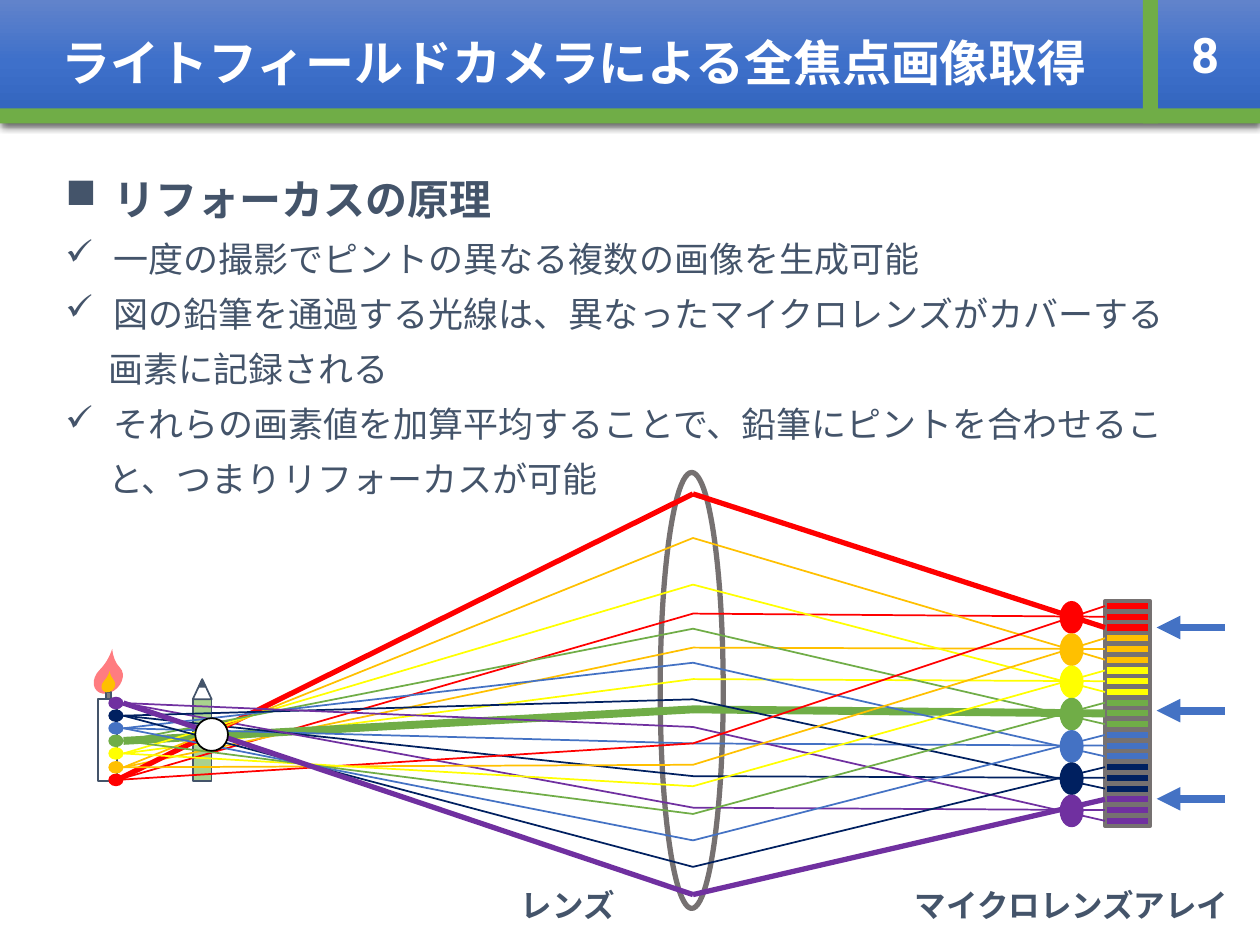
from lxml.etree import SubElement
from pptx import Presentation
from pptx.dml.color import RGBColor
from pptx.enum.shapes import MSO_CONNECTOR, MSO_SHAPE
from pptx.enum.text import MSO_ANCHOR, MSO_AUTO_SIZE, PP_ALIGN
from pptx.oxml import parse_xml
from pptx.oxml.ns import nsdecls, qn
from pptx.util import Inches, Pt

RED = RGBColor(0xFF, 0x00, 0x00)
GOLD = RGBColor(0xFF, 0xC0, 0x00)
YELLOW = RGBColor(0xFF, 0xFF, 0x00)
GREEN = RGBColor(0x70, 0xAD, 0x47)
BLUE = RGBColor(0x44, 0x72, 0xC4)
NAVY = RGBColor(0x00, 0x20, 0x60)
PURPLE = RGBColor(0x70, 0x30, 0xA0)
WHITE = RGBColor(0xFF, 0xFF, 0xFF)
BLACK = RGBColor(0x00, 0x00, 0x00)
SLATE = RGBColor(0x44, 0x54, 0x6A)
GREY = RGBColor(0x76, 0x71, 0x71)
WICK = RGBColor(0x80, 0x80, 0x80)
PINK = RGBColor(0xFF, 0x7C, 0x80)
LEAF = RGBColor(0xA9, 0xD1, 0x8E)

FONT = "Roboto"
RECT, OVAL = MSO_SHAPE.RECTANGLE, MSO_SHAPE.OVAL
CONE, DROP = MSO_SHAPE.ISOSCELES_TRIANGLE, MSO_SHAPE.TEAR

# Each fan of rays: colour, source x and y, heights at the lens, widths
FANS = [
    (RED, 0.93, 6.19, (3.92, 4.87, 5.9), (3, 1, 1)),
    (GOLD, 0.98, 6.09, (4.27, 5.14, 6.07), (1, 1, 1)),
    (YELLOW, 0.98, 5.98, (4.64, 5.39, 6.24), (1, 1, 1)),
    (GREEN, 0.98, 5.88, (4.99, 5.63, 6.46), (1, 4.5, 1)),
    (BLUE, 0.98, 5.78, (5.26, 5.9, 6.67), (1, 1, 1)),
    (NAVY, 0.98, 5.68, (5.55, 6.16, 6.88), (1, 1, 1)),
    (PURPLE, 0.98, 5.58, (5.77, 6.41, 7.1), (1, 1, 3)),
]
LENS_X, CHIP_X = 5.5, 8.77
CHIP_TOP, CHIP_STEP = 4.77, 1.79 / 21

# Body text: words, size, bold, bullet, left indent, line spacing
BODY = [
    ("リフォーカスの原理", 24, True, "■", 0.38, 0.9),
    ("一度の撮影でピントの異なる複数の画像を生成可能", 20, False, "✓", 0.38, 1.0),
    ("図の鉛筆を通過する光線は、異なったマイクロレンズがカバーする", 20, False, "✓", 0.38, 1.0),
    ("画素に記録される", 20, False, None, 0.34, 1.0),
    ("それらの画素値を加算平均することで、鉛筆にピントを合わせるこ", 20, False, "✓", 0.38, 1.0),
    ("と、つまりリフォーカスが可能", 20, False, None, 0.34, 1.0),
]


def style(item, form):
    for key, value in form.items():
        setattr(item, key, value)


def inch(box):
    return [Inches(value) for value in box]


def shape(shapes, kind, box, fill=None, line=None, width=1, turn=0):
    item = shapes.add_shape(kind, *inch(box))
    item.shadow.inherit = False
    item.rotation = turn
    if fill is None:
        item.fill.background()
    else:
        item.fill.solid()
        item.fill.fore_color.rgb = fill
    if line is None:
        item.line.fill.background()
    else:
        item.line.color.rgb = line
        item.line.width = Pt(width)
    return item


def ray(shapes, start, end, color, width, arrow=False):
    item = shapes.add_connector(MSO_CONNECTOR.STRAIGHT, *inch(start + end))
    item.line.color.rgb = color
    item.line.width = Pt(width)
    if arrow:
        SubElement(item.line._get_or_add_ln(), qn("a:tailEnd"), type="triangle")
    SubElement(item._element.spPr, qn("a:effectLst"))


def write(para, words, size, color, bold=True, **form):
    run = para.add_run()
    run.text = words
    style(run.font, {"name": FONT, "size": Pt(size), "bold": bold})
    run.font.color.rgb = color
    SubElement(run._r.get_or_add_rPr(), qn("a:ea"), typeface=FONT)
    style(para, form)


def frame(shapes, box, anchor=MSO_ANCHOR.TOP):
    text = shapes.add_textbox(*inch(box)).text_frame
    style(text, {"word_wrap": True, "vertical_anchor": anchor})
    return text


def bullet(para, mark, left):
    props = para._p.get_or_add_pPr()
    props.set("marL", str(Inches(left)))
    if mark:
        props.set("indent", str(-Inches(left)))
        SubElement(props, qn("a:buChar"), char=mark)


def header(slide):
    title = slide.shapes.title
    style(title, dict(zip(("left", "top", "width", "height"), inch((0, 0, 10, 0.98)))))
    stops = "".join(
        f'<a:gs pos="{spot}"><a:srgbClr val="{color}"/></a:gs>'
        for spot, color in ((0, "6183CB"), (50000, "3E70CA"), (100000, "3062BB")))
    props = title._element.spPr
    props.append(parse_xml(
        f'<a:gradFill {nsdecls("a")} rotWithShape="1"><a:gsLst>{stops}</a:gsLst>'
        '<a:lin ang="5400000" scaled="0"/></a:gradFill>'))
    props.append(parse_xml(
        f'<a:effectLst {nsdecls("a")}><a:outerShdw blurRad="{Pt(4.5)}" '
        f'dist="{Pt(1.5)}" dir="5400000" algn="ctr" rotWithShape="0">'
        '<a:srgbClr val="000000"><a:alpha val="63000"/></a:srgbClr>'
        '</a:outerShdw></a:effectLst>'))
    text = title.text_frame
    style(text, {"word_wrap": True, "auto_size": MSO_AUTO_SIZE.NONE,
                 "vertical_anchor": MSO_ANCHOR.MIDDLE, "margin_left": Inches(0.49)})
    write(text.paragraphs[0], "ライトフィールドカメラによる全焦点画像取得", 28, WHITE,
          alignment=PP_ALIGN.LEFT)
    for box in ((0, 0.86, 10, 0.12), (9.07, 0, 0.12, 0.98)):
        shape(slide.shapes, RECT, box, GREEN)
    page = frame(slide.shapes, (9.13, 0, 0.87, 0.86), MSO_ANCHOR.MIDDLE)
    write(page.paragraphs[0], "8", 28, WHITE, alignment=PP_ALIGN.CENTER)


def body(shapes):
    text = frame(shapes, (0.42, 1.37, 9.15, 3.86))
    for row, (words, size, bold, mark, left, pitch) in enumerate(BODY):
        para = text.add_paragraph() if row else text.paragraphs[0]
        write(para, words, size, SLATE, bold, space_before=Pt(7.5), line_spacing=pitch)
        bullet(para, mark, left)


def objects(shapes):
    # Pencil
    pencil = shapes.add_group_shape().shapes
    shape(pencil, RECT, (1.53, 5.55, 0.15, 0.65), LEAF, SLATE)
    shape(pencil, CONE, (1.53, 5.39, 0.15, 0.16), WHITE, SLATE)
    shape(pencil, CONE, (1.58, 5.4, 0.05, 0.05), SLATE, SLATE)
    # Candle
    candle = shapes.add_group_shape().shapes
    shape(candle, RECT, (0.78, 5.55, 0.15, 0.65), WHITE, SLATE)
    flame = shape(candle, DROP, (0.73, 5.29, 0.26, 0.2), PINK, turn=315)
    shape(candle, RECT, (0.84, 5.49, 0.04, 0.06), WICK, SLATE)
    core = shape(candle, DROP, (0.8, 5.39, 0.12, 0.1), GOLD, turn=315)
    for drop in (flame, core):
        drop.adjustments[0] = 1.476


def optics(shapes):
    # Sensor cells, small lenses and source dots
    for row, (color, _, y, _, _) in enumerate(FANS):
        for cell in range(3 * row, 3 * row + 3):
            shape(shapes, RECT, (CHIP_X, CHIP_TOP + cell * CHIP_STEP, 0.36, 0.08),
                  color, GREY, 2.25)
        shape(shapes, OVAL, (8.41, CHIP_TOP + row * 0.256, 0.19, 0.26), color)
    shape(shapes, OVAL, (5.24, 3.75, 0.5, 3.46), None, GREY, 3)
    # Rays cross over: the top of the lens feeds the lowest cell of each three
    for part in (1, 0, 2):
        for row, (color, x, y, bends, widths) in enumerate(FANS):
            bend = (LENS_X, bends[part])
            end = (CHIP_X, CHIP_TOP + 0.04 + (3 * row + 2 - part) * CHIP_STEP)
            ray(shapes, (x, y), bend, color, widths[part])
            ray(shapes, bend, end, color, widths[part])
    for color, _, y, _, _ in FANS:
        shape(shapes, OVAL, (0.86, y - 0.05, 0.12, 0.1), color)
    # Focus point and arrows
    shape(shapes, OVAL, (1.55, 5.7, 0.26, 0.26), WHITE, BLACK)
    for y in (4.98, 5.64, 6.34):
        ray(shapes, (9.72, y), (9.18, y), BLUE, 4.5, True)


def labels(shapes):
    for left, words in ((2.91, "レンズ"), (6.91, "マイクロレンズアレイ")):
        text = frame(shapes, (left, 7.02, 3.19, 0.49))
        write(text.paragraphs[0], words, 18, SLATE, alignment=PP_ALIGN.CENTER,
              line_spacing=0.9, space_before=Pt(7.5))


def main():
    deck = Presentation()
    style(deck, {"slide_width": Inches(10), "slide_height": Inches(7.5)})
    slide = deck.slides.add_slide(deck.slide_layouts[5])
    header(slide)
    body(slide.shapes)
    objects(slide.shapes)
    optics(slide.shapes)
    labels(slide.shapes)
    deck.save("out.pptx")


main()
